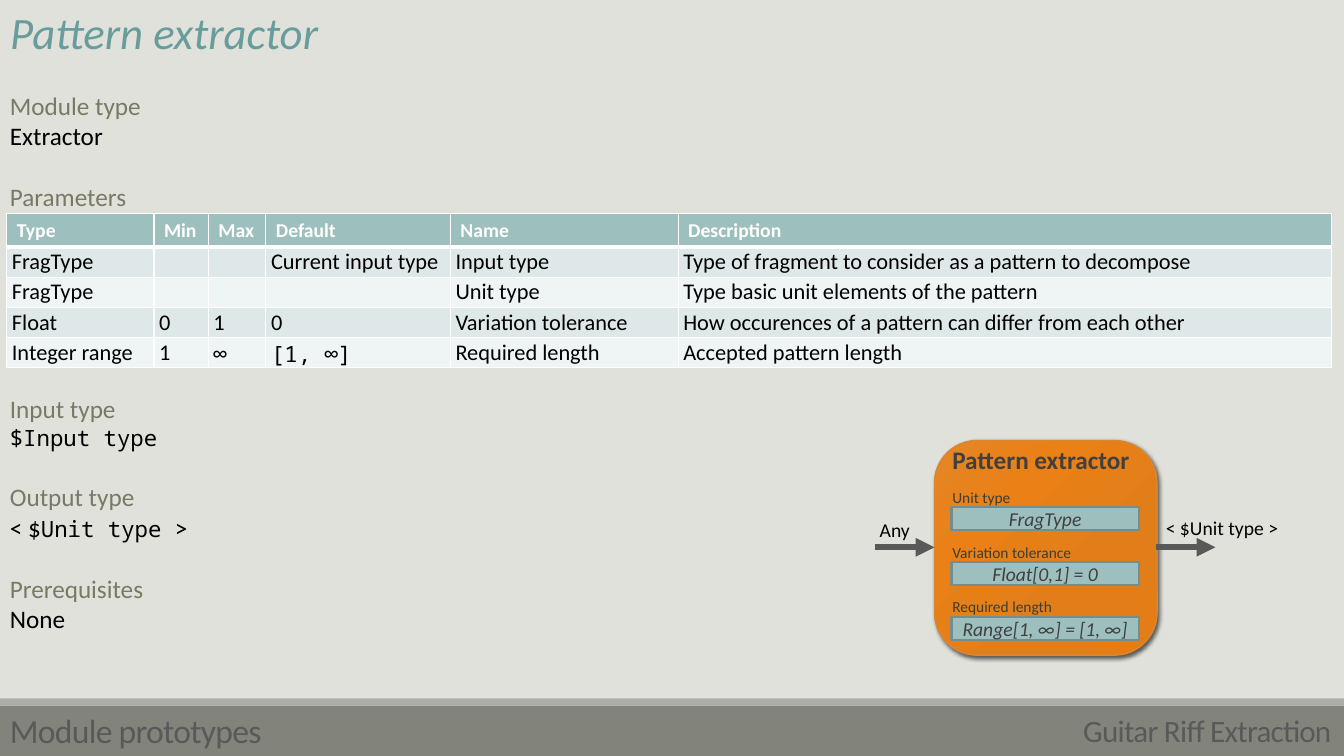
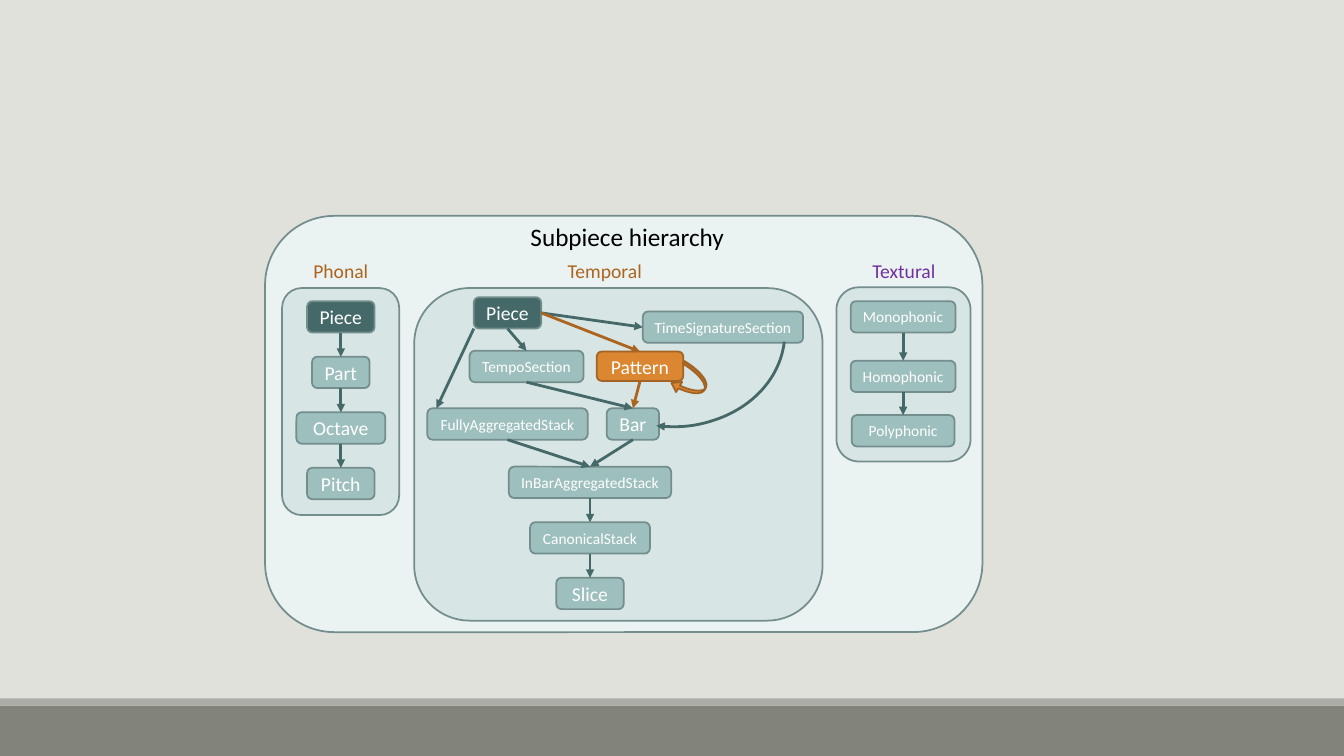
from lxml import etree
from pptx import Presentation
from pptx.dml.color import RGBColor
from pptx.enum.shapes import MSO_CONNECTOR, MSO_SHAPE
from pptx.enum.text import MSO_ANCHOR, MSO_AUTO_SIZE, PP_ALIGN
from pptx.oxml import parse_xml
from pptx.oxml.ns import nsdecls, qn
from pptx.util import Cm, Pt

RECT, ROUNDED = MSO_SHAPE.RECTANGLE, MSO_SHAPE.ROUNDED_RECTANGLE
NODE, ARC, LOOP = MSO_SHAPE.FLOWCHART_ALTERNATE_PROCESS, MSO_SHAPE.ARC, MSO_SHAPE.CURVED_LEFT_ARROW
STRAIGHT = MSO_CONNECTOR.STRAIGHT
LEFT, CENTER, RIGHT = PP_ALIGN.LEFT, PP_ALIGN.CENTER, PP_ALIGN.RIGHT
TOP, MIDDLE = MSO_ANCHOR.TOP, MSO_ANCHOR.MIDDLE
NO_AUTOSIZE = MSO_AUTO_SIZE.NONE
SITE_TOP, SITE_LEFT, SITE_BOTTOM, SITE_RIGHT = range(4)

WIDTH, HEIGHT = 33.87, 19.05
SANS, MONO = "Calibri", "Noto Sans Mono"
NODE_HEIGHT = 0.79

COLORS = {
    "background": "E1E1DB", "band": "82847C", "band_edge": "ACADA8",
    "title": "689D9B", "heading": "797965", "black": "000000", "white": "FFFFFF",
    "footer": "595959", "dark": "404040", "caption": "3D3D32",
    "teal": "9DBFBE", "teal_dark": "456968", "teal_line": "748D8D",
    "hierarchy": "EBF2F2", "panel": "D8E5E5", "row_odd": "DFE8E8", "row_even": "EFF4F4",
    "orange": "DB8631", "orange_line": "A26324", "orange_dark": "AB651E", "purple": "7030A0",
}

FORMATS = {
    "title": {"size": Pt(32), "italic": True, "color": "title"},
    "heading": {"size": Pt(18), "color": "heading"},
    "body": {"size": Pt(18), "color": "black"},
    "code": {"size": Pt(16), "name": MONO, "color": "black"},
    "section": {"size": Pt(24), "color": "footer"},
    "project": {"size": Pt(22.2), "color": "footer"},
    "card_title": {"size": Pt(18), "bold": True, "color": "dark"},
    "caption": {"size": Pt(11), "color": "caption"},
    "field": {"size": Pt(14), "italic": True, "color": "dark"},
    "port": {"size": Pt(14), "color": "black"},
    "table_head": {"size": Pt(14), "bold": True, "color": "white"},
    "table_body": {"size": Pt(16), "bold": False, "color": "black"},
    "node": {"size": Pt(14), "color": "white"},
    "small_node": {"size": Pt(11), "color": "white"},
    "warm_label": {"size": Pt(14), "color": "orange_dark"},
    "cool_label": {"size": Pt(14), "color": "purple"},
}

PARAMETERS = [
    ["Type", "Min", "Max", "Default", "Name", "Description"],
    ["FragType", "", "", "Current input type", "Input type",
     "Type of fragment to consider as a pattern to decompose"],
    ["FragType", "", "", "", "Unit type", "Type basic unit elements of the pattern"],
    ["Float", "0", "1", "0", "Variation tolerance",
     "How occurences of a pattern can differ from each other"],
    ["Integer range", "1", "∞", "[1, ∞]", "Required length", "Accepted pattern length"],
]
COLUMN_WIDTHS = [3.71, 1.37, 1.45, 4.65, 5.74, 16.46]

SECTIONS = [
    (0, "Module type", [("Extractor", "body")]),
    (22, "Parameters", []),
    (130, "Input type", [("$Input type", "code")]),
    (22, "Output type", [("< $", "body"), ("Unit type ", "code"), (">", "body")]),
    (22, "Prerequisites", [("None", "body")]),
]

FIELDS = [("Unit type", "FragType"), ("Variation tolerance", "Float[0,1] = 0"),
          ("Required length", "Range[1, ∞] = [1, ∞]")]


def rgb(color):
    return RGBColor.from_string(COLORS[color])


def add_run(paragraph, text, style):
    run = paragraph.add_run()
    run.text = text
    for attribute, value in {"name": SANS, **FORMATS[style]}.items():
        if attribute == "color":
            run.font.color.rgb = rgb(value)
        else:
            setattr(run.font, attribute, value)
    return run


def tighten(run):
    run._r.get_or_add_rPr().set("spc", "-50")


def add_text(slide, box, text, style, align=LEFT, line_spacing=None):
    frame = slide.shapes.add_textbox(*map(Cm, box)).text_frame
    frame.word_wrap = True
    paragraph = frame.paragraphs[0]
    paragraph.alignment = align
    paragraph.line_spacing = line_spacing
    return frame, add_run(paragraph, text, style)


def add_box(slide, kind, box, fill=None, line=None, weight=1.25):
    shape = slide.shapes.add_shape(kind, *map(Cm, box))
    shape.shadow.inherit = False
    if fill:
        shape.fill.solid()
        shape.fill.fore_color.rgb = rgb(fill)
    else:
        shape.fill.background()
    if line:
        shape.line.color.rgb = rgb(line)
        shape.line.width = Pt(weight)
    else:
        shape.line.fill.background()
    return shape


def add_label_box(slide, kind, box, text, style, fill, line="teal_line", weight=1.25):
    shape = add_box(slide, kind, box, fill, line, weight)
    frame = shape.text_frame
    frame.word_wrap = False
    frame.vertical_anchor = MIDDLE
    frame.paragraphs[0].alignment = CENTER
    add_run(frame.paragraphs[0], text, style)
    return shape


def add_node(slide, center, top, width, text, style="node", fill="teal",
             line="teal_line", height=NODE_HEIGHT):
    box = (center - width / 2, top, width, height)
    return add_label_box(slide, NODE, box, text, style, fill, line)


def add_arrowhead(line):
    etree.SubElement(line._get_or_add_ln(), qn("a:tailEnd"), type="triangle")


def add_arrow(slide, start, end, color="teal_dark", weight=2):
    arrow = slide.shapes.add_connector(STRAIGHT, *map(Cm, (*start, *end)))
    arrow.line.color.rgb = rgb(color)
    arrow.line.width = Pt(weight)
    add_arrowhead(arrow.line)
    etree.SubElement(arrow._element.spPr, qn("a:effectLst"))
    return arrow


def link(slide, source, target, source_site=SITE_BOTTOM, target_site=SITE_TOP, color="teal_dark"):
    arrow = add_arrow(slide, (0, 0), (0, 0), color)
    arrow.begin_connect(source, source_site)
    arrow.end_connect(target, target_site)


def link_chain(slide, nodes):
    for source, target in zip(nodes, nodes[1:]):
        link(slide, source, target)


def setup_master(prs, slide):
    master = prs.slide_master
    master.background.fill.solid()
    master.background.fill.fore_color.rgb = rgb("background")
    bands = [((0, 17.78, WIDTH, 1.27), "band"), ((0, 17.6, WIDTH, 0.18), "band_edge")]
    for box, fill in bands:
        master.element.cSld.spTree.append(add_box(slide, RECT, box, fill).element)


def set_title(slide, text):
    title = slide.shapes.title
    title.left, title.top, title.width, title.height = map(Cm, (0, 0, WIDTH, 1.75))
    frame = title.text_frame
    frame.auto_size = NO_AUTOSIZE
    frame.vertical_anchor = TOP
    frame.paragraphs[0].alignment = LEFT
    add_run(frame.paragraphs[0], text, "title")


def add_sections(slide):
    frame = slide.shapes.add_textbox(*map(Cm, (0, 2.15, WIDTH, 14.8))).text_frame
    frame.word_wrap = True
    for index, (gap, heading, content) in enumerate(SECTIONS):
        paragraph = frame.add_paragraph() if index else frame.paragraphs[0]
        paragraph.space_before = Pt(gap)
        add_run(paragraph, heading, "heading")
        if content:
            paragraph = frame.add_paragraph()
            for text, style in content:
                add_run(paragraph, text, style)


def add_cell_borders(cell, bottom):
    properties = cell._tc.get_or_add_tcPr()
    for index, (side, weight) in enumerate(zip("LRTB", (1, 1, 1, bottom))):
        properties.insert(index, parse_xml(
            f'<a:ln{side} {nsdecls("a")} w="{Pt(weight)}"><a:solidFill>'
            f'<a:srgbClr val="{COLORS["white"]}"/></a:solidFill></a:ln{side}>'))


def fill_cell(cell, text, row):
    cell.fill.solid()
    cell.fill.fore_color.rgb = rgb("teal" if row == 0 else "row_odd" if row % 2 else "row_even")
    paragraph = cell.text_frame.paragraphs[0]
    if row:
        margins = {"margin_left": 0.13, "margin_right": 0.13,
                   "margin_top": 0.03, "margin_bottom": 0.03}
        for attribute, value in margins.items():
            setattr(cell, attribute, Cm(value))
    if text:
        style = "table_head" if row == 0 else "code" if "∞" in text else "table_body"
        add_run(paragraph, text, style)
    else:
        etree.SubElement(paragraph._p, qn("a:endParaRPr"), sz="1600")
    add_cell_borders(cell, 1 if row else 3)


def add_parameter_table(slide):
    box = map(Cm, (0.17, 5.38, sum(COLUMN_WIDTHS), 3.88))
    table = slide.shapes.add_table(len(PARAMETERS), len(COLUMN_WIDTHS), *box).table
    for column, width in zip(table.columns, COLUMN_WIDTHS):
        column.width = Cm(width)
    for index, texts in enumerate(PARAMETERS):
        table.rows[index].height = Cm(0.76 if index else 0.84)
        for column, text in enumerate(texts):
            fill_cell(table.cell(index, column), text, index)


def add_module_card(slide):
    card = add_box(slide, ROUNDED, (23.55, 11.1, 5.61, 5.41), "orange", "orange", 1)
    card.adjustments[0] = 0.198
    stops = [(0, "E47D16"), (34, "E27E1A"), (70, "EA8016"), (100, "E48628")]
    stop_xml = "".join(f'<a:gs pos="{at * 1000}"><a:srgbClr val="{color}"/></a:gs>'
                       for at, color in stops)
    properties = card.element.spPr
    properties.replace(properties.find(qn("a:solidFill")), parse_xml(
        f'<a:gradFill {nsdecls("a")}><a:gsLst>{stop_xml}</a:gsLst><a:path path="circle">'
        '<a:fillToRect l="100000" t="100000" r="0" b="0"/></a:path></a:gradFill>'))
    properties.find(qn("a:effectLst")).append(parse_xml(
        f'<a:outerShdw {nsdecls("a")} blurRad="{Pt(3)}" dist="{Pt(2)}" dir="2700000">'
        '<a:srgbClr val="000000"><a:alpha val="60000"/></a:srgbClr></a:outerShdw>'))
    add_text(slide, (23.75, 11.35, 5.18, 0.79), "Pattern extractor", "card_title",
             line_spacing=Pt(14))
    for index, (caption, value) in enumerate(FIELDS):
        offset = 1.38 * index
        add_text(slide, (23.75, 12.17 + offset, 5.18, 0.74), caption, "caption")
        add_label_box(slide, RECT, (23.98, 12.78 + offset, 4.72, 0.58), value, "field",
                      "teal", weight=1.5)
    for left in (22.05, 29.13):
        add_arrow(slide, (left, 13.79), (left + 1.5, 13.79), "footer", 4.5)
    add_text(slide, (21.92, 12.93, 2.31, 0.86), "Any", "port")
    add_text(slide, (29.13, 12.88, 4.42, 1.45), "< $Unit type >", "port")


def add_footer(slide):
    _, section = add_text(slide, (0, 17.93, 18.39, 1.17), "Module prototypes", "section",
                          line_spacing=0.85)
    frame, project = add_text(slide, (15.16, 18.14, 18.39, 0.76), "Guitar Riff Extraction",
                              "project", RIGHT, 0.75)
    for side in ("left", "top", "right", "bottom"):
        setattr(frame, f"margin_{side}", 0)
    tighten(section)
    tighten(project)


def add_phonal(slide):
    steps = [("Piece", 1.7), ("Part", 1.45), ("Octave", 2.24), ("Pitch", 1.7)]
    link_chain(slide, [
        add_node(slide, 8.59, 7.59 + 1.4 * index, width, text,
                 fill="teal" if index else "teal_dark")
        for index, (text, width) in enumerate(steps)])


def add_textural(slide):
    steps = [("Monophonic", 7.59, 2.64), ("Homophonic", 9.09, 2.64), ("Polyphonic", 10.46, 2.59)]
    link_chain(slide, [add_node(slide, 22.76, top, width, text, "small_node")
                       for text, top, width in steps])


def add_temporal(slide):
    piece = add_node(slide, 12.79, 7.49, 1.7, "Piece", fill="teal_dark")
    full_stack = add_node(slide, 12.79, 10.29, 4.04, "FullyAggregatedStack", "small_node")
    tempo = add_node(slide, 13.27, 8.84, 2.87, "TempoSection", "small_node")
    time_signature = add_node(slide, 18.22, 7.85, 4.04, "TimeSignatureSection", "small_node")
    bar = add_node(slide, 15.95, 10.29, 1.32, "Bar")
    bar_stack = add_node(slide, 14.87, 11.76, 4.09, "InBarAggregatedStack", "small_node")
    canonical = add_node(slide, 14.87, 13.16, 3.02, "CanonicalStack", "small_node")
    slice_node = add_node(slide, 14.87, 14.56, 1.7, "Slice")
    pattern = add_node(slide, 16.13, 8.86, 2.18, "Pattern", fill="orange",
                       line="orange_line", height=0.74)
    link(slide, piece, time_signature, SITE_RIGHT, SITE_LEFT)
    add_arrow(slide, (11.94, 8.28), (11.0, 10.29))
    link_chain(slide, [piece, tempo, bar, bar_stack, canonical, slice_node])
    link(slide, full_stack, bar_stack)
    link(slide, piece, pattern, SITE_RIGHT, color="orange_dark")
    link(slide, pattern, bar, color="orange_dark")
    bar_arc = add_box(slide, ARC, (14.35, 5.31, 4.95, 5.92), line="teal_dark", weight=2)
    bar_arc.rotation = 96.6
    add_arrowhead(bar_arc.line)
    pattern_loop = add_box(slide, LOOP, (16.99, 9.25, 0.81, 0.79), "orange", "orange_line")
    pattern_loop.rotation = 30.7
    for index, value in enumerate((0.099, 0.377, 0.279)):
        pattern_loop.adjustments[index] = value


def build_extractor(slide):
    set_title(slide, "Pattern extractor")
    add_sections(slide)
    add_footer(slide)
    add_module_card(slide)
    add_parameter_table(slide)


def build_hierarchy(slide):
    add_box(slide, NODE, (6.68, 5.44, 18.08, 10.49), "hierarchy", "teal_line")
    add_text(slide, (11.48, 5.44, 8.66, 1.02), "Subpiece hierarchy", "body", CENTER)
    families = [
        ("Phonal", "warm_label", 7.32, (7.11, 7.26, 2.95, 5.72), add_phonal),
        ("Temporal", "warm_label", 13.97, (10.44, 7.26, 10.29, 8.38), add_temporal),
        ("Textural", "cool_label", 21.51, (21.08, 7.24, 3.38, 4.39), add_textural),
    ]
    for label, style, left, panel, add_members in families:
        add_text(slide, (left, 6.4, 2.54, 0.86), label, style, CENTER)
        add_box(slide, NODE, panel, "panel", "teal_line")
        add_members(slide)


def main():
    prs = Presentation()
    prs.slide_width, prs.slide_height = Cm(WIDTH), Cm(HEIGHT)
    title_only, blank = prs.slide_layouts[5], prs.slide_layouts[6]
    extractor = prs.slides.add_slide(title_only)
    setup_master(prs, extractor)
    build_extractor(extractor)
    build_hierarchy(prs.slides.add_slide(blank))
    prs.save("out.pptx")


main()
